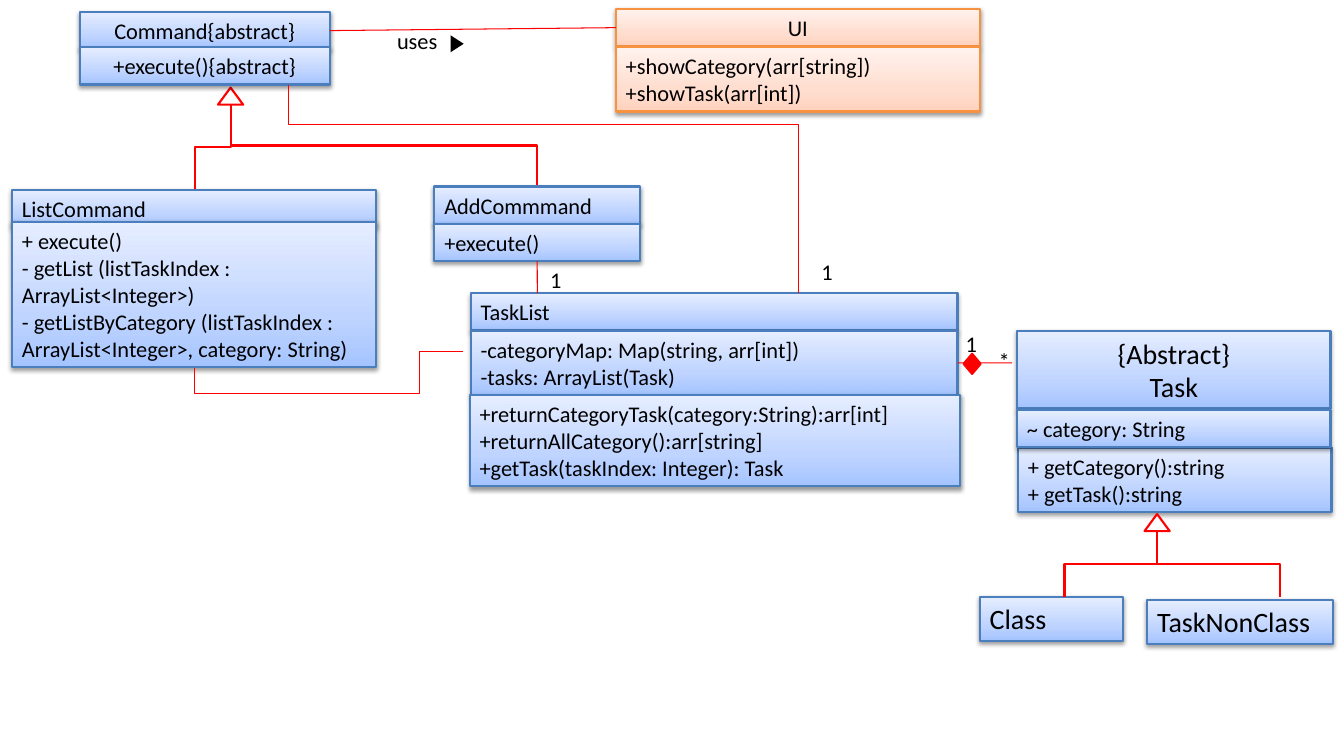
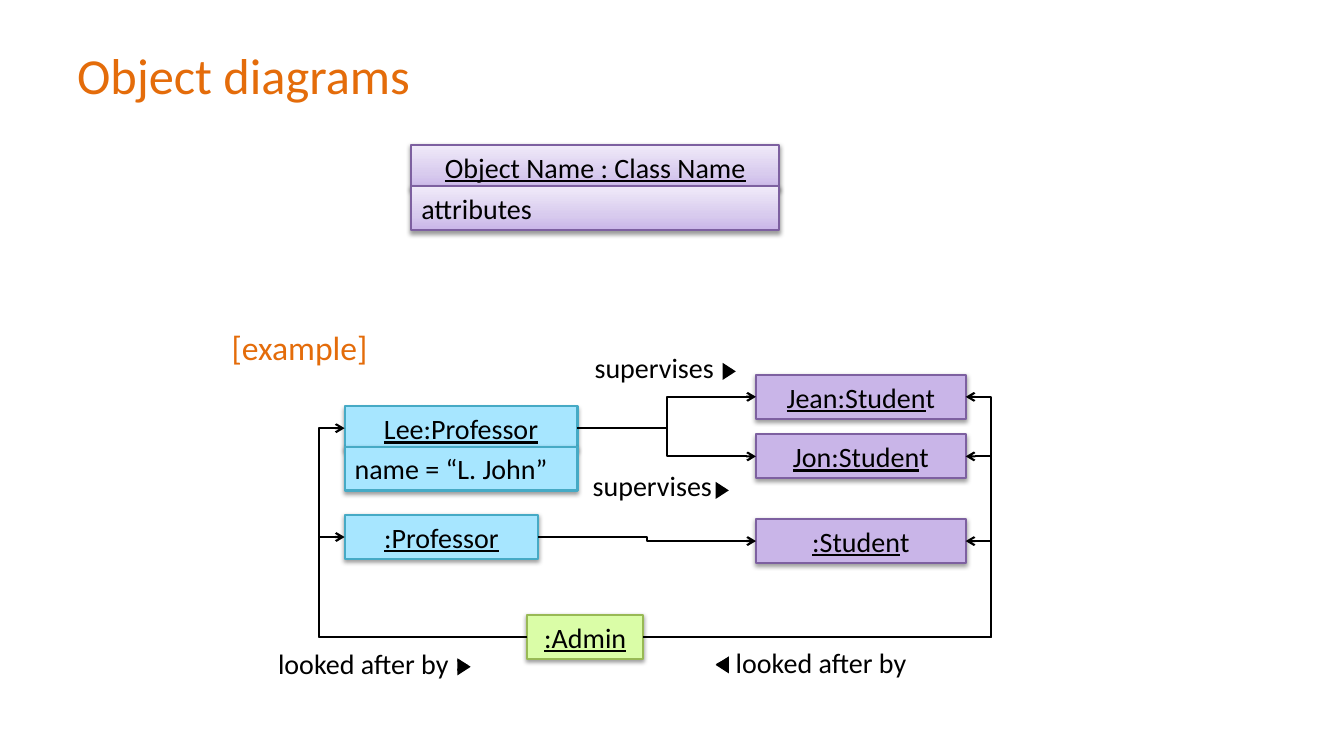
from dataclasses import dataclass

from lxml import etree
from pptx import Presentation, util as u
from pptx.dml.color import RGBColor
from pptx.enum import shapes, text
from pptx.oxml.ns import qn

Pt = u.Pt
TOP, LEFT, BOTTOM, RIGHT = range(4)
SIDE_FACTORS = ((0.5, 0), (0, 0.5), (0.5, 1), (1, 0.5))
CENTER, START = text.PP_ALIGN.CENTER, text.PP_ALIGN.LEFT


@dataclass(frozen=True)
class Look:
    edge: str
    stops: tuple


@dataclass(frozen=True)
class Theme:
    font: str = "Calibri"
    ink: str = "000000"
    paper: str = "FFFFFF"
    accent: str = "E46C0A"
    relation: str = "FF0000"
    title: int = 36
    heading: int = 24
    large: int = 20
    body: int = 16
    line_factor: float = 1.21
    padding: float = 7.2
    thin: float = 0.75
    medium: float = 1.5
    stop_positions: tuple = (0, 35, 100)
    blue: Look = Look("4B7EBC", ("A4C4FF", "BFD4FF", "E6EEFF"))
    orange: Look = Look("F69240", ("FFD2BD", "FFDED0", "FFF2ED"))
    lilac: Look = Look("7D60A0", ("C9B5E8", "D8CBEE", "F0EAF9"))
    professor: Look = Look("46AAC5", ("A7E6FF",))
    student: Look = Look("7D60A0", ("C9B5E8",))
    admin: Look = Look("98B955", ("DAFDA7",))


THEME = Theme()


def rgb(value):
    return RGBColor.from_string(value)


def add_xml(parent, tag, **attributes):
    return etree.SubElement(parent, qn(tag), attributes)


def side(box, index):
    across, down = SIDE_FACTORS[index]
    return box.left.pt + across * box.width.pt, box.top.pt + down * box.height.pt


class Diagram:
    def __init__(self, theme):
        self.theme = theme
        self.deck = Presentation()
        self.deck.slide_width, self.deck.slide_height = Pt(960), Pt(540)
        self.slide = None

    def new_slide(self):
        self.slide = self.deck.slides.add_slide(self.deck.slide_layouts[6])

    def fill_text(self, frame, content, size, color, align=START, underline=False, plain=""):
        frame.word_wrap = True
        frame.text = content
        for paragraph in frame.paragraphs:
            paragraph.alignment = align
            for run in paragraph.runs:
                run.font.underline = underline
            if plain:
                paragraph.add_run().text = plain
            for run in paragraph.runs:
                run.font.name = self.theme.font
                run.font.size = Pt(size)
                run.font.color.rgb = rgb(color)

    def height(self, rows, size):
        return rows * size * self.theme.line_factor + self.theme.padding

    def preset(self, kind, x, y, w, h, fill, edge=None):
        shape = self.slide.shapes.add_shape(kind, Pt(x), Pt(y), Pt(w), Pt(h))
        shape.shadow.inherit = False
        shape.fill.solid()
        shape.fill.fore_color.rgb = rgb(fill)
        if edge:
            shape.line.color.rgb = rgb(edge)
            shape.line.width = Pt(self.theme.medium)
        else:
            shape.line.fill.background()
        return shape

    def shade(self, box, stops):
        box.fill.gradient()
        box.fill.gradient_angle = 90
        stop_list = box.element.spPr.find(".//" + qn("a:gsLst"))
        for old in list(stop_list):
            stop_list.remove(old)
        for position, value in zip(self.theme.stop_positions, stops):
            stop = add_xml(stop_list, "a:gs", pos=str(position * 1000))
            add_xml(stop, "a:srgbClr", val=value)

    def box(self, x, y, w, content, look, size=None, align=START, rows=None,
            underline=False, plain=""):
        size = size or self.theme.body
        rows = rows or content.count("\n") + 1
        box = self.preset(shapes.MSO_SHAPE.RECTANGLE, x, y, w, self.height(rows, size),
                          look.stops[0], look.edge)
        if len(look.stops) > 1:
            self.shade(box, look.stops)
        effects = box.element.spPr.find(qn("a:effectLst"))
        shadow = add_xml(effects, "a:outerShdw", blurRad="40000", dist="20000",
                         dir="5400000", rotWithShape="0")
        add_xml(add_xml(shadow, "a:srgbClr", val=self.theme.ink), "a:alpha", val="38000")
        frame = box.text_frame
        self.fill_text(frame, content, size, self.theme.ink, align, underline, plain)
        frame.vertical_anchor = text.MSO_ANCHOR.MIDDLE
        frame.auto_size = text.MSO_AUTO_SIZE.SHAPE_TO_FIT_TEXT
        return box

    def label(self, x, y, w, content, size=None):
        size = size or self.theme.body
        label = self.slide.shapes.add_textbox(Pt(x), Pt(y), Pt(w), Pt(self.height(1, size)))
        self.fill_text(label.text_frame, content, size, self.theme.ink)
        label.text_frame.auto_size = text.MSO_AUTO_SIZE.SHAPE_TO_FIT_TEXT

    def heading(self, x, y, w, content, size):
        heading = self.slide.shapes.add_textbox(Pt(x), Pt(y), Pt(w), Pt(62.6))
        self.fill_text(heading.text_frame, content, size, self.theme.accent)
        heading.text_frame.vertical_anchor = text.MSO_ANCHOR.MIDDLE

    def pointer(self, x, y, rotation=90):
        pointer = self.preset(shapes.MSO_SHAPE.ISOSCELES_TRIANGLE, x, y, 12.2, 9.4,
                              self.theme.ink)
        pointer.rotation = rotation

    def connector(self, kind, start, end, color, width, arrow=False):
        link = self.slide.shapes.add_connector(kind, *(Pt(v) for v in (*start, *end)))
        link.line.color.rgb = rgb(color)
        link.line.width = Pt(width)
        properties = link.element.spPr
        if arrow:
            add_xml(properties.find(qn("a:ln")), "a:tailEnd", type="arrow")
        add_xml(properties, "a:effectLst")
        return link

    def line(self, start, end):
        return self.connector(shapes.MSO_CONNECTOR.STRAIGHT, start, end,
                              self.theme.relation, self.theme.thin)

    def elbow(self, start, end, color, width, turns=(), vertical=False, arrow=False):
        (x1, y1), (x2, y2) = start, end
        dx, dy = x2 - x1, y2 - y1
        lengths = [(y1, dy), (x1, dx)] if vertical else [(x1, dx), (y1, dy)]
        bends = [(turn - origin) / span for turn, (origin, span) in zip(turns, lengths)] or [0.5]
        quarter = 1 if dx * dy < 0 else -1
        if vertical:
            cx, cy = (x1 + x2) / 2, (y1 + y2) / 2
            half_x, half_y = quarter * dy / 2, quarter * dx / 2
            start, end = (cx - half_x, cy + half_y), (cx + half_x, cy - half_y)
        link = self.connector(shapes.MSO_CONNECTOR.ELBOW, start, end, color, width, arrow)
        properties = link.element.spPr
        if vertical:
            properties.find(qn("a:xfrm")).set("rot", str(quarter * 90 % 360 * 60000))
        geometry = properties.find(qn("a:prstGeom"))
        geometry.set("prst", f"bentConnector{len(bends) + 2}")
        guides = geometry.find(qn("a:avLst"))
        for number, bend in enumerate(bends, 1):
            add_xml(guides, "a:gd", name=f"adj{number}", fmla=f"val {round(bend * 100000)}")

    def inheritance(self, x, y, children):
        color, base = self.theme.relation, y + 12.2
        self.preset(shapes.MSO_SHAPE.ISOSCELES_TRIANGLE, x - 9, y, 18, 12.2,
                    self.theme.paper, color)
        for child in children:
            self.elbow(child, (x, base), color, self.theme.medium, vertical=True)

    def association(self, start, end, turns):
        self.elbow(start, end, self.theme.relation, self.theme.thin, turns, vertical=True)

    def link(self, source, source_side, target, target_side, turns=()):
        self.elbow(side(source, source_side), side(target, target_side),
                   self.theme.ink, self.theme.medium, turns, arrow=True)


def class_diagram(d):
    t = d.theme
    d.new_slide()
    command = d.box(56.9, 8.6, 178.6, "Command{abstract}", t.blue, align=CENTER)
    d.box(8.6, 135.4, 260, "ListCommand", t.blue)
    d.inheritance(164.7, 62.6, [(139, 135.4), (383.8, 133.2)])
    d.box(310.3, 133.2, 146.9, "AddCommmand", t.blue)
    d.box(336.2, 209.5, 347.8, "TaskList", t.blue)
    d.label(706.3, 244.1, 48.2, "*")
    d.label(682.6, 232.6, 48.2, "1")
    d.preset(shapes.MSO_SHAPE.FLOWCHART_DECISION, 688.3, 252.7, 12.2, 14.4,
             t.relation, t.relation)
    d.box(8.6, 158.4, 260,
          "+ execute()\n- getList (listTaskIndex : ArrayList<Integer>)\n"
          "- getListByCategory (listTaskIndex : ArrayList<Integer>, category: String)",
          t.blue, rows=5)
    d.box(727.2, 319.7, 223.9, "+ getCategory():string\n+ getTask():string", t.blue)
    task_fields = d.box(336.2, 236.2, 347.8,
                        "-categoryMap: Map(string, arr[int])\n-tasks: ArrayList(Task)", t.blue)
    d.box(335.5, 282.2, 350.6,
          "+returnCategoryTask(category:String):arr[int]\n"
          "+returnAllCategory():arr[string]\n+getTask(taskIndex: Integer): Task", t.blue)
    ui = d.box(439.9, 6.5, 260, "UI", t.orange, align=CENTER)
    d.box(439.9, 33.8, 260, "+showCategory(arr[string])\n+showTask(arr[int])", t.orange)
    d.label(276.5, 15.8, 118, "uses")
    d.pointer(320.4, 26.6)
    d.label(385.9, 186.5, 48.2, "1")
    d.box(56.9, 33.8, 178.6, "+execute(){abstract}", t.blue, align=CENTER)
    add_execute = d.box(310.3, 159.8, 146.9, "+execute()", t.blue)
    d.line(side(add_execute, BOTTOM), (383.8, 209.5)).begin_connect(add_execute, BOTTOM)
    d.line((722.9, 259.2), side(task_fields, RIGHT)).end_connect(task_fields, RIGHT)
    d.association((139, 262.8), (330.5, 251.3), (280.8, 299.5))
    d.association((205.9, 60.5), (570.2, 209.5), (89.3,))
    d.label(579.6, 180.7, 48.2, "1")
    uses = d.line(side(command, RIGHT), side(ui, LEFT))
    uses.begin_connect(command, RIGHT)
    uses.end_connect(ui, LEFT)
    d.box(726.5, 236.2, 223.9, "{Abstract}\nTask", t.blue, t.large, CENTER)
    d.box(699.8, 426.2, 102.2, "Class", t.blue, t.large)
    d.box(819.4, 428.4, 132.5, "TaskNonClass", t.blue, t.large)
    d.inheritance(826.5, 367.2, [(914.4, 426.2), (760.3, 426.2)])
    d.box(726.5, 293, 223.9, "~ category: String", t.blue)


def object_diagram(d):
    t = d.theme

    def instance(x, y, w, name, look, plain=""):
        return d.box(x, y, w, name, look, t.large, CENTER, underline=True, plain=plain)

    d.new_slide()
    d.heading(48, 21.6, 864, "Object diagrams", t.title)
    instance(293.8, 103.7, 262.8, "Object Name : Class Name", t.lilac)
    d.box(293.8, 133.2, 262.8, "attributes", t.lilac, t.large)
    d.heading(158.4, 216.7, 648, "[example]", t.heading)

    lee = instance(246.2, 290.2, 166.3, "Lee:Professor", t.professor)
    d.box(246.2, 319, 166.3, "name = “L. John”", t.professor, t.large)
    professor = instance(246.2, 367.9, 138.2, ":Professor", t.professor)
    jean, jon, student = (
        instance(540, y, 149.8, name, t.student, plain="t")
        for y, name in ((267.8, "Jean:Studen"), (310.3, "Jon:Studen"), (370.8, ":Studen")))
    admin = instance(376.6, 439.2, 82.8, ":Admin", t.admin)

    for teacher, pupil in ((lee, jean), (lee, jon), (professor, student)):
        d.link(teacher, RIGHT, pupil, LEFT)
    for teacher in (lee, professor):
        d.link(admin, LEFT, teacher, LEFT, (228.2,))
    for pupil in (jean, jon, student):
        d.link(admin, RIGHT, pupil, RIGHT, (707.8,))

    for x, y, w, caption in ((416.2, 331.2, 118, "supervises"),
                             (417.6, 247, 118, "supervises"),
                             (504, 457.2, 153.4, "< looked after by"),
                             (191.5, 458.6, 171.4, "looked after by >")):
        d.label(x, y, w, caption, t.large)
    for x, y, rotation in ((514.8, 260.6, 90), (509.8, 345.6, 90),
                           (325.4, 471.6, 90), (509.8, 470.2, 270)):
        d.pointer(x, y, rotation)


def main():
    diagram = Diagram(THEME)
    class_diagram(diagram)
    object_diagram(diagram)
    diagram.deck.save("out.pptx")


if __name__ == "__main__":
    main()
